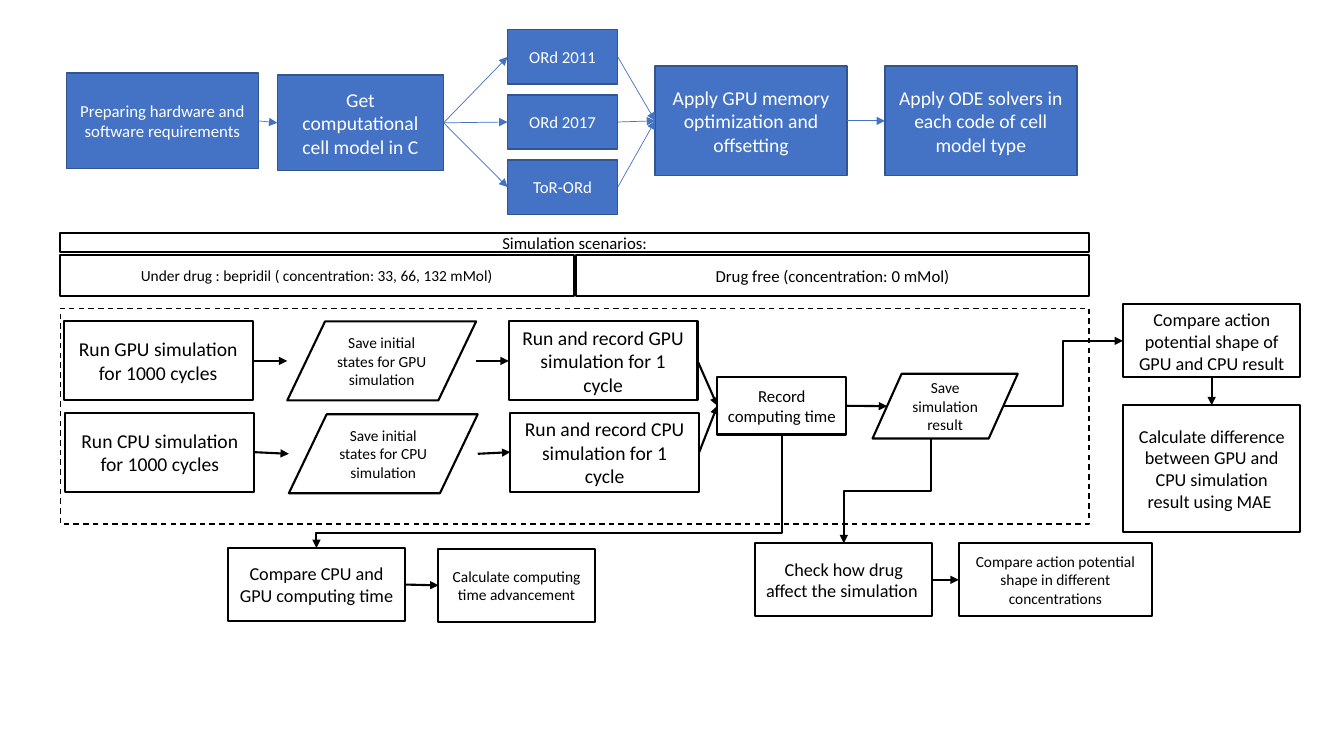
from dataclasses import dataclass
from typing import NamedTuple

from lxml.etree import SubElement
from pptx import Presentation
from pptx.dml.color import RGBColor
from pptx.enum.dml import MSO_LINE
from pptx.enum.shapes import MSO_CONNECTOR, MSO_SHAPE
from pptx.enum.text import MSO_ANCHOR, PP_ALIGN
from pptx.oxml.ns import qn
from pptx.util import Cm, Pt


class Look(NamedTuple):
    fill: RGBColor
    edge: RGBColor
    edge_width: Pt
    text: RGBColor
    arrow: RGBColor
    arrow_width: Pt


class Box(NamedTuple):
    left: float
    top: float
    width: float
    height: float

    def inner(self, x, y, width, height):
        return Box(self.left + x, self.top + y, width, height)


WHITE, BLACK = RGBColor(255, 255, 255), RGBColor(0, 0, 0)
BLUE, NAVY = RGBColor(0x44, 0x72, 0xC4), RGBColor(0x32, 0x54, 0x91)


@dataclass(frozen=True)
class Theme:
    font: str = "Calibri"
    large: Pt = Pt(14)
    medium: Pt = Pt(13)
    regular: Pt = Pt(12)
    small: Pt = Pt(11)
    frame_width: Pt = Pt(1)
    setup: Look = Look(BLUE, NAVY, Pt(1), WHITE, BLUE, Pt(0.5))
    study: Look = Look(WHITE, BLACK, Pt(1.5), BLACK, BLACK, Pt(1.5))


THEME = Theme()
TOP, LEFT, BOTTOM, RIGHT = range(4)
TEXT_FORMAT = {"word_wrap": True, "vertical_anchor": MSO_ANCHOR.MIDDLE}


def apply_format(target, values):
    for name, value in values.items():
        setattr(target, name, value)


def add_node(slide, box, text, size, look=THEME.study, preset=MSO_SHAPE.RECTANGLE):
    node = slide.shapes.add_shape(preset, *map(Cm, box))
    node.shadow.inherit = False
    node.fill.solid()
    node.fill.fore_color.rgb = look.fill
    node.line.color.rgb = look.edge
    node.line.width = look.edge_width
    apply_format(node.text_frame, TEXT_FORMAT)
    paragraph = node.text_frame.paragraphs[0]
    paragraph.text = text
    paragraph.alignment = PP_ALIGN.CENTER
    apply_format(paragraph.font, {"name": THEME.font, "size": size})
    paragraph.font.color.rgb = look.text
    return node


def point(node, across, down):
    return int(node.left + node.width * across), int(node.top + node.height * down)


def side_point(node, side, inset=0):
    across, down = {TOP: (0.5, 0), LEFT: (inset, 0.5), BOTTOM: (0.5, 1), RIGHT: (1 - inset, 0.5)}[side]
    return point(node, across, down)


def style_connector(connector, look, arrow=True):
    connector.line.color.rgb = look.arrow
    connector.line.width = look.arrow_width
    properties = connector.element.spPr
    if arrow:
        SubElement(properties.find(qn("a:ln")), qn("a:tailEnd"), type="triangle")
    SubElement(properties, qn("a:effectLst"))


def link(slide, source, target, look=THEME.study, sides=(RIGHT, LEFT), inset=0):
    ends = [side_point(node, side, inset) for node, side in zip((source, target), sides)]
    connector = slide.shapes.add_connector(MSO_CONNECTOR.STRAIGHT, *ends[0], *ends[1])
    joins = (connector.begin_connect, connector.end_connect)
    for join, node, side in zip(joins, (source, target), sides):
        if node.auto_shape_type == MSO_SHAPE.RECTANGLE:
            join(node, side)
    style_connector(connector, look)


def add_elbow(slide, start, end, preset="bentConnector3", turned=False, arrow=True):
    (x1, y1), (x2, y2) = start, end
    if turned:
        center_x, center_y = (x1 + x2) // 2, (y1 + y2) // 2
        half_width, half_height = abs(y2 - y1) // 2, abs(x2 - x1) // 2
        x1, x2 = center_x - half_width, center_x + half_width
        y1, y2 = center_y - half_height, center_y + half_height
    elbow = slide.shapes.add_connector(MSO_CONNECTOR.ELBOW, x1, y1, x2, y2)
    properties = elbow.element.spPr
    properties.find(qn("a:prstGeom")).set("prst", preset)
    if turned:
        properties.find(qn("a:xfrm")).set("rot", "5400000")
    style_connector(elbow, THEME.study, arrow)


def build_setup(slide, box):
    look = THEME.setup
    hardware = add_node(slide, box.inner(0, 1.09, 4.83, 2.41),
                        "Preparing hardware and software requirements", THEME.regular, look)
    cell_model = add_node(slide, box.inner(5.31, 1.14, 4.19, 2.41),
                          "Get computational cell model in C", THEME.large, look)
    variants = [add_node(slide, box.inner(11.11, row * 1.64, 2.78, 1.37), name, THEME.regular, look)
                for row, name in enumerate(("ORd 2011", "ORd 2017", "ToR-ORd"))]
    memory, solvers = [
        add_node(slide, box.inner(x, 0.91, 4.84, 2.77), text, THEME.large, look)
        for x, text in ((14.83, "Apply GPU memory optimization and offsetting"),
                        (20.62, "Apply ODE solvers in each code of cell model type"))]
    link(slide, hardware, cell_model, look)
    for variant in variants:
        link(slide, cell_model, variant, look)
        link(slide, variant, memory, look)
    link(slide, memory, solvers, look)


def build_scenarios(slide, box):
    add_node(slide, box.inner(0, 0, box.width, 0.48), "Simulation scenarios:", THEME.regular)
    half = box.width / 2 - 0.03
    add_node(slide, box.inner(box.width - half, 0.56, half, 1.02),
             "Drug free (concentration: 0 mMol)", THEME.regular)
    add_node(slide, box.inner(0, 0.56, half, 1.02),
             "Under drug : bepridil ( concentration: 33, 66, 132 mMol)", THEME.small)


def build_simulation(slide, box):
    computing_time = add_node(slide, box.inner(16.56, 1.73, 3.25, 1.45),
                              "Record computing time", THEME.regular)
    result = add_node(slide, box.inner(20.47, 1.65, 3.66, 1.63), "Save simulation result",
                      THEME.small, preset=MSO_SHAPE.FLOWCHART_DATA)
    for row, unit in enumerate(("GPU", "CPU")):
        shift, y = row * 0.04, 0.33 + row * 2.3
        warm_up = add_node(slide, box.inner(0.09 + shift, y, 4.76, 1.99),
                           f"Run {unit} simulation for 1000 cycles", THEME.large)
        states = add_node(slide, box.inner(5.72 + shift, y + shift, 4.76, 1.99),
                          f"Save initial states for {unit} simulation", THEME.small,
                          preset=MSO_SHAPE.FLOWCHART_DATA)
        recording = add_node(slide, box.inner(11.3 + shift, y, 4.76, 1.99),
                             f"Run and record {unit} simulation for 1 cycle", THEME.large)
        for source, target in ((warm_up, states), (states, recording), (recording, computing_time)):
            link(slide, source, target)
    link(slide, computing_time, result, inset=0.1)
    return computing_time, result


def build_frame(slide, box):
    frame = slide.shapes.add_shape(MSO_SHAPE.RECTANGLE, *map(Cm, box))
    frame.shadow.inherit = False
    frame.fill.background()
    frame.line.color.rgb = THEME.study.edge
    apply_format(frame.line, {"width": THEME.frame_width, "dash_style": MSO_LINE.DASH})


def build_outcome(slide, box, check, finding, finding_box, size, sides=(RIGHT, LEFT)):
    check_node = add_node(slide, box, check, THEME.medium)
    finding_node = add_node(slide, box.inner(*finding_box), finding, size)
    link(slide, check_node, finding_node, sides=sides)
    return check_node


def build_routes(slide, computing_time, result, timing, drug_effect, shape_match):
    timing_x, timing_y = side_point(timing, TOP)
    bend_y = timing_y - Cm(0.37)
    add_elbow(slide, side_point(computing_time, BOTTOM), (Cm(9.5), bend_y),
              "bentConnector2", turned=True, arrow=False)
    add_elbow(slide, (timing.left + timing.width, bend_y), (timing_x, timing_y), "bentConnector2")
    add_elbow(slide, point(result, 0.9, 0.5), side_point(shape_match, LEFT))
    add_elbow(slide, point(result, 0.4, 1), side_point(drug_effect, TOP), turned=True)


def main():
    deck = Presentation()
    apply_format(deck, {"slide_width": Cm(33.87), "slide_height": Cm(19.05)})
    slide = deck.slides.add_slide(deck.slide_layouts[6])
    simulation_box = Box(1.52, 7.77, 25.93, 5.44)
    build_setup(slide, Box(1.68, 0.75, 25.46, 4.65))
    build_scenarios(slide, Box(1.52, 5.87, 25.93, 1.58))
    computing_time, result = build_simulation(slide, simulation_box)
    timing = build_outcome(
        slide, Box(5.74, 13.81, 4.47, 1.84), "Compare CPU and GPU computing time",
        "Calculate computing time advancement", (5.31, 0.02, 3.94, 1.84), THEME.small)
    drug_effect = build_outcome(
        slide, Box(19.03, 13.69, 4.47, 1.84), "Check how drug affect the simulation ",
        "Compare action potential shape in different concentrations",
        (5.13, 0, 4.88, 1.84), THEME.small)
    shape_match = build_outcome(
        slide, Box(28.3, 7.67, 4.47, 1.84), "Compare action potential shape of GPU and CPU result",
        "Calculate difference between GPU and CPU simulation result using MAE ",
        (0, 2.54, 4.47, 3.2), THEME.medium, (BOTTOM, TOP))
    build_routes(slide, computing_time, result, timing, drug_effect, shape_match)
    build_frame(slide, simulation_box)
    deck.save("out.pptx")


if __name__ == "__main__":
    main()
